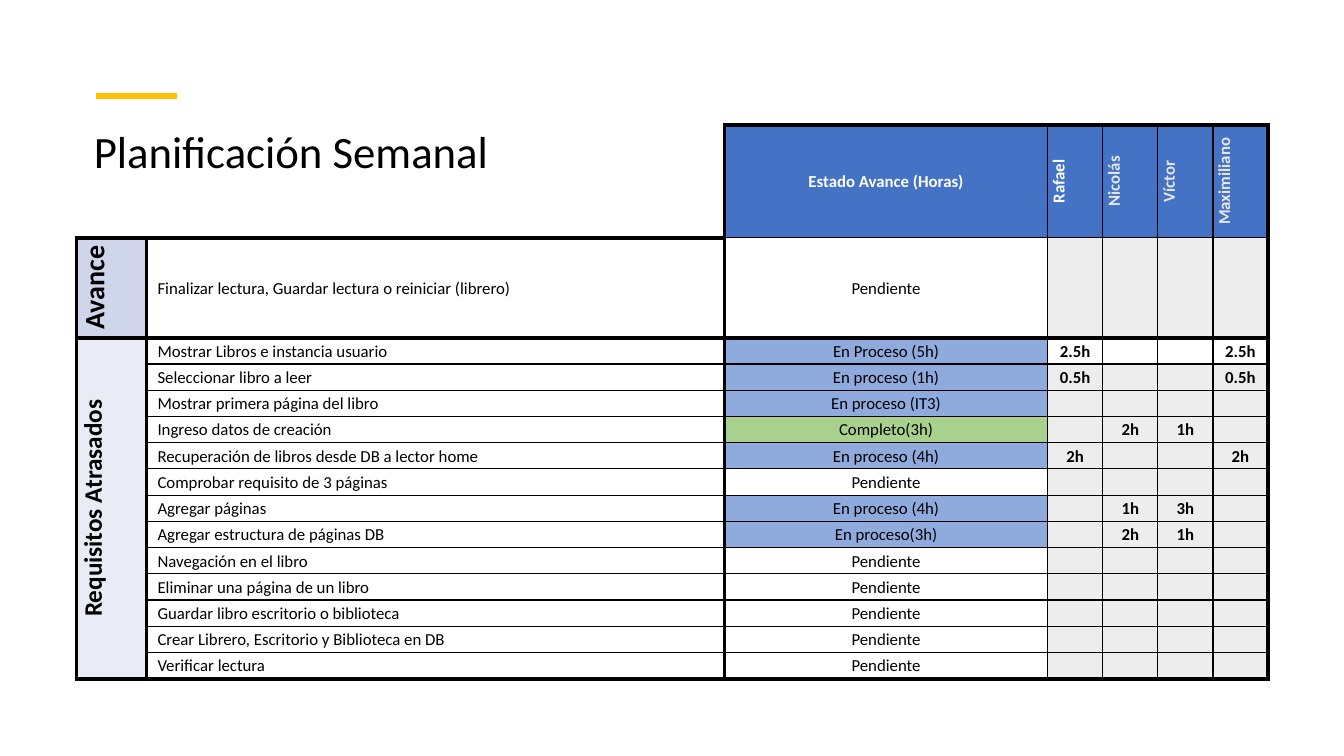
from dataclasses import dataclass

from lxml import etree
from pptx import Presentation
from pptx.dml.color import RGBColor
from pptx.enum.shapes import MSO_CONNECTOR
from pptx.enum.text import MSO_ANCHOR, MSO_AUTO_SIZE, PP_ALIGN
from pptx.oxml.ns import qn
from pptx.util import Cm, Pt

CENTER, JUSTIFY, LEFT = PP_ALIGN.CENTER, PP_ALIGN.JUSTIFY, PP_ALIGN.LEFT
MIDDLE, TOP = MSO_ANCHOR.MIDDLE, MSO_ANCHOR.TOP
NO_AUTOFIT, STRAIGHT = MSO_AUTO_SIZE.NONE, MSO_CONNECTOR.STRAIGHT
TITLE_ONLY = 5


@dataclass(frozen=True)
class Theme:
    font: str = "Calibri"
    black: str = "000000"
    white: str = "FFFFFF"
    accent: str = "FFC000"
    header: str = "4472C4"
    header_dim: str = "E7E6E6"
    progress_section: str = "CFD5EA"
    delayed_section: str = "E9EBF5"
    in_process: str = "8FAADC"
    complete: str = "A9D18E"
    hours: str = "EDEDED"
    title_size: int = 32
    progress_size: int = 20
    delayed_size: int = 18
    body_size: int = 12
    accent_line: float = 4.5
    thick: int = 3
    thin: int = 1


THEME = Theme()


@dataclass(frozen=True)
class Task:
    name: str
    status: str = "Pendiente"
    hours: tuple[str, ...] = ("", "", "", "")
    hours_fill: str | None = THEME.hours


@dataclass(frozen=True)
class CellStyle:
    fill: str | None = None
    color: str = THEME.black
    size: int = THEME.body_size
    bold: bool = False
    align: PP_ALIGN = CENTER
    side_margin: float = 0.03
    vertical: bool = False


MEMBERS = ("Rafael", "Nicolás", "Víctor", "Maximiliano")
TASKS = (
    Task("Finalizar lectura, Guardar lectura o reiniciar (librero)"),
    Task("Mostrar Libros e instancia usuario", "En Proceso (5h)", ("2.5h", "", "", "2.5h"), None),
    Task("Seleccionar libro a leer", "En proceso (1h)", ("0.5h", "", "", "0.5h")),
    Task("Mostrar primera página del libro", "En proceso (IT3)"),
    Task("Ingreso datos de creación", "Completo(3h)", ("", "2h", "1h", "")),
    Task("Recuperación de libros desde DB a lector home", "En proceso (4h)", ("2h", "", "", "2h")),
    Task("Comprobar requisito de 3 páginas"),
    Task("Agregar páginas", "En proceso (4h)", ("", "1h", "3h", "")),
    Task("Agregar estructura de páginas DB", "En proceso(3h)", ("", "2h", "1h", "")),
    Task("Navegación en el libro"),
    Task("Eliminar una página de un libro"),
    Task("Guardar libro escritorio o biblioteca"),
    Task("Crear Librero, Escritorio y Biblioteca en DB"),
    Task("Verificar lectura"),
)
SECTION, NAME, STATUS, FIRST_MEMBER = range(4)
HEADER, PROGRESS, DELAYED = range(3)
ROW_COUNT = len(TASKS) + 1
COLUMN_COUNT = FIRST_MEMBER + len(MEMBERS)
COLUMN_WIDTHS = [Cm(1.76), Cm(14.57), Cm(8.14)] + [Cm(1.39)] * len(MEMBERS)
DELAYED_COUNT = len(TASKS) - 1
ROW_HEIGHTS = [Cm(2.84), Cm(2.52)] + [Cm(8.6) // DELAYED_COUNT] * DELAYED_COUNT


def apply_format(target: object, values: dict[str, object]) -> None:
    for attribute, value in values.items():
        setattr(target, attribute, value)


def add_run(paragraph, text: str, size: int, color: str, bold: bool) -> None:
    run = paragraph.add_run()
    run.text = text
    apply_format(run.font, {"name": THEME.font, "size": Pt(size), "bold": bold})
    run.font.color.rgb = RGBColor.from_string(color)


def status_fill(status: str) -> str | None:
    if status.lower().startswith("en proceso"):
        return THEME.in_process
    return THEME.complete if status.startswith("Completo") else None


def vertical_edge(row: int, boundary: int) -> tuple[str, int]:
    """Colour and width of the line at a column boundary."""
    if row == HEADER and boundary < STATUS:
        return THEME.white, THEME.thin
    outer = boundary in (SECTION, NAME, STATUS, COLUMN_COUNT)
    return THEME.black, THEME.thick if outer else THEME.thin


def horizontal_edge(boundary: int, column: int) -> tuple[str, int] | None:
    """Colour and width of the line at a row boundary, if it has one."""
    if boundary == HEADER and column < STATUS:
        return THEME.white, THEME.thin
    if boundary in (HEADER, DELAYED, ROW_COUNT) or (boundary == PROGRESS and column < STATUS):
        return THEME.black, THEME.thick
    return None if column == SECTION else (THEME.black, THEME.thin)


def draw_borders(cell, row: int, column: int) -> None:
    bottom = ROW_COUNT if column == SECTION and row == DELAYED else row + 1
    edges = {
        "a:lnL": vertical_edge(row, column),
        "a:lnR": vertical_edge(row, column + 1),
        "a:lnT": horizontal_edge(row, column),
        "a:lnB": horizontal_edge(bottom, column),
    }
    properties = cell._tc.get_or_add_tcPr()
    for tag, edge in edges.items():
        if edge:
            color, width = edge
            line = etree.SubElement(properties, qn(tag), w=str(Pt(width)))
            fill = etree.SubElement(line, qn("a:solidFill"))
            etree.SubElement(fill, qn("a:srgbClr"), val=color)


def fill_cell(cell, text: str, style: CellStyle) -> None:
    apply_format(cell, {
        "vertical_anchor": MIDDLE,
        "margin_left": Cm(style.side_margin),
        "margin_right": Cm(style.side_margin),
        "margin_top": Cm(0.03),
        "margin_bottom": 0,
    })
    if style.vertical:
        cell._tc.get_or_add_tcPr().set("vert", "vert270")
    if style.fill:
        cell.fill.solid()
        cell.fill.fore_color.rgb = RGBColor.from_string(style.fill)
    else:
        cell.fill.background()
    paragraph = cell.text_frame.paragraphs[0]
    paragraph.alignment = style.align
    if text:
        add_run(paragraph, text, style.size, style.color, style.bold)
    else:
        etree.SubElement(paragraph._p, qn("a:endParaRPr"), sz=str(style.size * 100))


def plan_contents() -> dict[tuple[int, int], tuple[str, CellStyle]]:
    """Text and style of each filled cell, by row and column."""
    header = CellStyle(THEME.header, THEME.white, bold=True)
    contents = {
        (HEADER, STATUS): ("Estado Avance (Horas)", header),
        (PROGRESS, SECTION): ("Avance", CellStyle(
            THEME.progress_section, size=THEME.progress_size, bold=True, vertical=True)),
        (DELAYED, SECTION): ("Requisitos Atrasados", CellStyle(
            THEME.delayed_section, size=THEME.delayed_size, bold=True, vertical=True)),
    }
    for column, member in enumerate(MEMBERS, FIRST_MEMBER):
        color = THEME.white if column == FIRST_MEMBER else THEME.header_dim
        contents[HEADER, column] = member, CellStyle(THEME.header, color, bold=True, vertical=True)
    for row, task in enumerate(TASKS, PROGRESS):
        contents[row, NAME] = task.name, CellStyle(align=JUSTIFY, side_margin=0.28)
        contents[row, STATUS] = task.status, CellStyle(status_fill(task.status))
        for column, hours in enumerate(task.hours, FIRST_MEMBER):
            contents[row, column] = hours, CellStyle(task.hours_fill, bold=True)
    return contents


def add_plan(slide) -> None:
    plan = slide.shapes.add_table(ROW_COUNT, COLUMN_COUNT, Cm(1.93), Cm(3.15),
                                  sum(COLUMN_WIDTHS), sum(ROW_HEIGHTS)).table
    apply_format(plan, {"first_row": False, "horz_banding": False})
    for column, width in zip(plan.columns, COLUMN_WIDTHS):
        column.width = width
    contents = plan_contents()
    for row, height in enumerate(ROW_HEIGHTS):
        plan.rows[row].height = height
        for column in range(COLUMN_COUNT):
            cell = plan.cell(row, column)
            draw_borders(cell, row, column)
            fill_cell(cell, *contents.get((row, column), ("", CellStyle())))
    plan.cell(DELAYED, SECTION).merge(plan.cell(ROW_COUNT - 1, SECTION))


def add_title(slide) -> None:
    title = slide.shapes.title
    apply_format(title, {"left": Cm(2.11), "top": Cm(3.15), "width": Cm(27.05), "height": Cm(3.07)})
    apply_format(title.text_frame, {
        "vertical_anchor": TOP, "auto_size": NO_AUTOFIT, "word_wrap": True})
    paragraph = title.text_frame.paragraphs[0]
    apply_format(paragraph, {"alignment": LEFT, "line_spacing": 0.9})
    add_run(paragraph, "Planificación Semanal", THEME.title_size, THEME.black, False)


def add_accent(slide) -> None:
    accent = slide.shapes.add_connector(STRAIGHT, Cm(2.41), Cm(2.42), Cm(4.45), Cm(2.42))
    accent.line.color.rgb = RGBColor.from_string(THEME.accent)
    accent.line.width = Pt(THEME.accent_line)
    etree.SubElement(accent._element.spPr, qn("a:effectLst"))


def main() -> None:
    presentation = Presentation()
    apply_format(presentation, {"slide_width": Cm(33.87), "slide_height": Cm(19.05)})
    slide = presentation.slides.add_slide(presentation.slide_layouts[TITLE_ONLY])
    add_title(slide)
    add_accent(slide)
    add_plan(slide)
    presentation.save("out.pptx")


if __name__ == "__main__":
    main()
